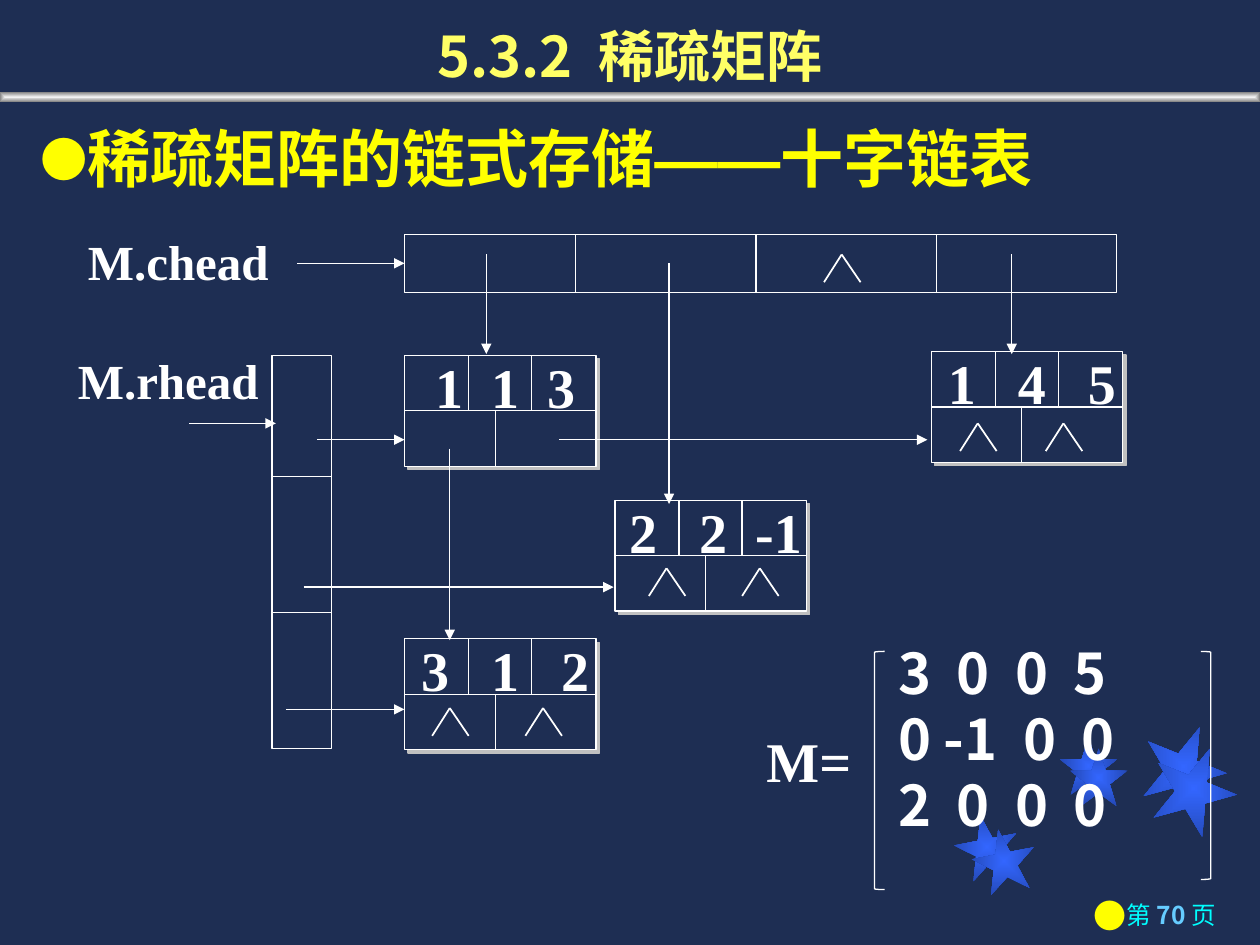
"""Build the slide on storing a sparse matrix as an orthogonal linked list."""
from lxml import etree
from pptx import Presentation
from pptx import util as u
from pptx.dml.color import RGBColor
from pptx.enum import shapes, text
from pptx.oxml import parse_xml
from pptx.oxml.ns import qn

NS = 'xmlns:a="http://schemas.openxmlformats.org/drawingml/2006/main"'
NAVY, WHITE, YELLOW, CYAN = "1E2E53", "FFFFFF", "FFFF00", "00FFFF"
SERIF, SANS = "Times New Roman", "Noto Sans CJK SC"
color = RGBColor.from_string

presentation = Presentation()
presentation.slide_width = u.Inches(10)
presentation.slide_height = u.Inches(7.5)
slide = presentation.slides.add_slide(presentation.slide_layouts[6])
slide.background.fill.solid()
slide.background.fill.fore_color.rgb = color(NAVY)


def write(lines, box, size=32, font=SERIF, align="CENTER", anchor="BOTTOM",
          spacing=None, before=0, bullet=None, hanging=0):
    """Write lines of (text, colour, bold) runs in a text box."""
    frame = slide.shapes.add_textbox(*map(u.Inches, box)).text_frame
    frame.word_wrap = True
    frame.vertical_anchor = getattr(text.MSO_ANCHOR, anchor)
    for index, runs in enumerate(lines):
        paragraph = frame.add_paragraph() if index else frame.paragraphs[0]
        paragraph.alignment = getattr(text.PP_ALIGN, align)
        paragraph.line_spacing = spacing
        if index:
            paragraph.space_before = u.Pt(before)
        if bullet:
            properties = paragraph._p.get_or_add_pPr()
            properties.set("marL", str(u.Inches(hanging)))
            properties.set("indent", str(-u.Inches(hanging)))
            for xml in (f'<a:buClr {NS}><a:srgbClr val="{YELLOW}"/></a:buClr>',
                        f'<a:buSzPct {NS} val="{bullet * 1000}"/>',
                        f'<a:buFont {NS} typeface="{SANS}"/>',
                        f'<a:buChar {NS} char="●"/>'):
                properties.append(parse_xml(xml))
        for words, hue, bold in runs:
            run = paragraph.add_run()
            run.text = words
            run.font.size = u.Pt(size)
            run.font.bold = bold
            run.font.color.rgb = color(hue)
            run.font.name = font
            east_asian = etree.SubElement(run._r.rPr, qn("a:ea"))
            east_asian.set("typeface", font)


def draw_line(x1, y1, x2, y2, width=0.75, arrow=False):
    """Draw a straight white line, with an arrowhead at its end if asked."""
    line = slide.shapes.add_connector(
        shapes.MSO_CONNECTOR.STRAIGHT, *map(u.Inches, (x1, y1, x2, y2)))
    line.line.color.rgb = color(WHITE)
    line.line.width = u.Pt(width)
    if arrow:
        line.line._get_or_add_ln().append(parse_xml(f'<a:tailEnd {NS} type="triangle"/>'))
    line._element.spPr.append(parse_xml(f"<a:effectLst {NS}/>"))
    return line


star, blues = "STAR_5_POINT", ("3366FF", "2449B6")
for kind, x, y, width, height, rotation, stops in (
        (star, 7.58, 6.47, 0.5, 0.5, 349, blues),
        (star, 8.41, 5.85, 0.46, 0.46, 0, blues),
        (star, 9.06, 5.75, 0.67, 0.67, 22, blues),
        (star, 7.72, 6.58, 0.5, 0.5, 349, blues),
        (star, 8.49, 5.94, 0.46, 0.46, 0, blues),
        (star, 9.14, 5.92, 0.67, 0.67, 22, blues),
        ("RECTANGLE", 0, 0.73, 10, 0.08, 0, ("F2F2F2", "808080"))):
    shape = slide.shapes.add_shape(getattr(shapes.MSO_SHAPE, kind),
                                   *map(u.Inches, (x, y, width, height)))
    shape.rotation = rotation
    shape.shadow.inherit = False
    shape.line.fill.background()
    shape.fill.gradient()
    for stop, hue in zip(shape.fill.gradient_stops, stops):
        stop.color.rgb = color(hue)
    linear = shape._element.spPr.find(".//" + qn("a:lin"))
    linear.getparent().replace(linear, parse_xml(
        f'<a:path {NS} path="shape"><a:fillToRect l="50000" t="50000" '
        'r="50000" b="50000"/></a:path>'))

write([[("5.3.2  稀疏矩阵", "FFFF66", True)]], (0, 0, 10, 0.75), font=SANS)
write([[("稀疏矩阵的链式存储——十字链表", YELLOW, True)]], (0.22, 0.9, 9.51, 0.84), size=36,
      font="Arial", align="LEFT", anchor="TOP", bullet=75, hanging=0.35)
write([[("第 ", CYAN, False), ("70 ", "66CCFF", True), ("页", CYAN, False)]],
      (7.12, 7.09, 2.63, 0.36), size=14, font=SANS, align="RIGHT", anchor="TOP",
      bullet=135, hanging=0.22)
write([[(row, WHITE, True)] for row in ("3  0  0  5", "0 -1  0  0", "2  0  0  0")],
      (7.03, 5.08, 2.59, 1.91), font=SANS, align="LEFT", anchor="TOP", spacing=0.9, before=3)
write([[("M=", WHITE, True)]], (5.98, 5.72, 0.88, 0.63))
write([[("M.chead", WHITE, True)]], (0.55, 1.78, 1.73, 0.57), size=28)
write([[("M.rhead", WHITE, True)]], (0.47, 2.73, 1.73, 0.57), size=28)

node_width, node_height = 1.52, 0.88
nodes = ((3.21, 2.82, "1  1  3"), (3.21, 5.07, "3   1   2"),
         (4.88, 3.97, "2   2  -1"), (7.39, 2.79, "1   4   5"))
outlines = [("LEFT_BRACKET", 6.94, 5.17, 0.08, 1.89), ("RIGHT_BRACKET", 9.53, 5.17, 0.08, 1.81),
            ("RECTANGLE", 2.16, 2.82, 0.47, 3.12), ("RECTANGLE", 3.21, 1.86, 5.65, 0.46)]
outlines += [("RECTANGLE", x, y, node_width, node_height) for x, y, _ in nodes]
drawn = []
for kind, *box in outlines:
    shape = slide.shapes.add_shape(getattr(shapes.MSO_SHAPE, kind), *map(u.Inches, box))
    shape.shadow.inherit = False
    shape.line.color.rgb = color(WHITE)
    shape.line.width = u.Pt(0.75)
    if kind == "RECTANGLE":
        shape.fill.solid()
        shape.fill.fore_color.rgb = color(NAVY)
    else:
        shape.fill.background()
    if box[2] == node_width:
        shape._element.spPr.find(qn("a:effectLst")).append(parse_xml(
            f'<a:outerShdw {NS} dist="{u.Pt(2.8)}" dir="2700000" algn="ctr" rotWithShape="0">'
            '<a:srgbClr val="C0C0C0"/></a:outerShdw>'))
    drawn.append(shape)
column_heads, node_shapes = drawn[3], drawn[4:]

for index in range(3):
    x = 4.57 + 1.43 * index
    draw_line(x, 1.86, x, 2.32)
for y in (3.78, 4.86):
    draw_line(2.16, y, 2.63, y)

for (x, y, values), node in zip(nodes, node_shapes):
    middle = y + node_height / 2
    divider = draw_line(x, middle, x + node_width, middle)
    divider.begin_connect(node, 1)
    divider.end_connect(node, 3)
    for offset in (0.51, 1.01):
        draw_line(x + offset, y, x + offset, middle)
    draw_line(x + 0.72, middle, x + 0.72, y + node_height)
    write([[(values, WHITE, True)]], (x - 0.07, y - 0.07, 1.74, 0.63))

for x, y in ((6.68, 2.02), (7.76, 3.36), (8.44, 3.36), (5.29, 4.51),
             (6.03, 4.51), (3.57, 5.62), (4.31, 5.62)):
    draw_line(x - 0.14, y + 0.22, x, y, width=1)
    draw_line(x, y, x + 0.15, y + 0.22, width=1)

for ends in ((1.5, 3.36, 2.19, 3.36), (2.52, 3.49, 3.21, 3.49), (2.41, 4.66, 4.87, 4.66),
             (2.27, 5.63, 3.21, 5.63), (4.44, 3.49, 7.36, 3.49), (3.57, 3.56, 3.57, 5.08),
             (3.86, 2.02, 3.86, 2.81), (5.31, 2.09, 5.31, 4), (8.03, 2.02, 8.03, 2.81)):
    draw_line(*ends, arrow=True)
draw_line(2.36, 2.09, 3.21, 2.09, arrow=True).end_connect(column_heads, 1)

presentation.save("out.pptx")
